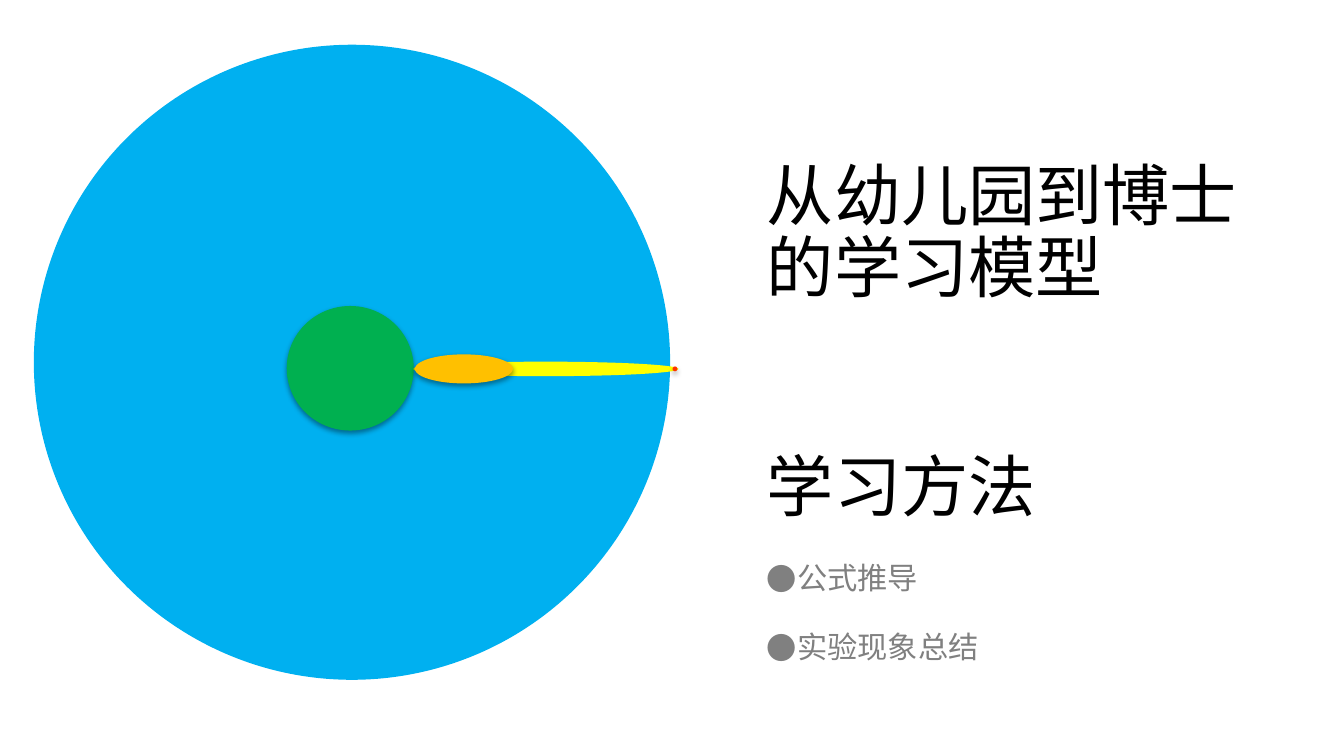
from lxml.etree import SubElement
from pptx import Presentation
from pptx.dml.color import RGBColor
from pptx.enum.shapes import MSO_SHAPE
from pptx.enum.text import MSO_ANCHOR, MSO_AUTO_SIZE, PP_ALIGN
from pptx.oxml.ns import qn
from pptx.util import Inches, Pt

FONT = "Noto Sans CJK SC"
BLACK = RGBColor(0x00, 0x00, 0x00)
GRAY = RGBColor(0x80, 0x80, 0x80)
BLUE = RGBColor(0x00, 0xB0, 0xF0)
YELLOW = RGBColor(0xFF, 0xFF, 0x00)
GREEN = RGBColor(0x00, 0xB0, 0x50)
ORANGE = RGBColor(0xFF, 0xC0, 0x00)
RED = RGBColor(0xFF, 0x33, 0x00)

# Offset from the model's corner, size, colour, shadow (opacity %, distance pt)
STAGES = [
    (0, 0, 5.26, 5.25, BLUE, None),
    (3.13, 2.62, 2.2, 0.12, YELLOW, None),
    (2.09, 2.16, 1.05, 1.03, GREEN, (38, 1.6)),
    (3.15, 2.56, 0.81, 0.24, ORANGE, (38, 1.6)),
    (5.28, 2.66, 0.04, 0.04, RED, (35, 1.8)),
]
METHODS = ["公式推导", "实验现象总结"]


def add_drop_shadow(shape, opacity, distance):
    effects = shape._element.spPr.find(qn("a:effectLst"))
    shadow = SubElement(effects, qn("a:outerShdw"), blurRad=str(Pt(3.1)),
                        dist=str(Pt(distance)), dir="5400000", rotWithShape="0")
    color = SubElement(shadow, qn("a:srgbClr"), val=str(BLACK))
    SubElement(color, qn("a:alpha"), val=str(opacity * 1000))


def add_learning_model(slide, left, top):
    model = slide.shapes.add_group_shape()
    for dx, dy, width, height, color, shadow in STAGES:
        stage = model.shapes.add_shape(
            MSO_SHAPE.OVAL, Inches(left + dx), Inches(top + dy),
            Inches(width), Inches(height))
        stage.fill.solid()
        stage.fill.fore_color.rgb = color
        stage.line.fill.background()
        stage.shadow.inherit = False
        if shadow:
            add_drop_shadow(stage, *shadow)


def format_frame(frame):
    frame.word_wrap = True
    frame.auto_size = MSO_AUTO_SIZE.NONE
    frame.vertical_anchor = MSO_ANCHOR.MIDDLE
    frame.margin_left = frame.margin_right = Inches(0.08)
    frame.margin_top = frame.margin_bottom = Inches(0.04)


def write_line(paragraph, text, size, color, line_spacing, before=0):
    paragraph.alignment = PP_ALIGN.LEFT
    paragraph.line_spacing = line_spacing
    paragraph.space_before = Pt(before)
    paragraph.space_after = Pt(5)
    run = paragraph.add_run()
    run.text = text
    run.font.size = Pt(size)
    run.font.color.rgb = color
    run.font.name = FONT
    SubElement(run.font._element, qn("a:ea"), typeface=FONT)


def write_heading(paragraph, text):
    write_line(paragraph, text, 40, BLACK, 0.9)


def write_bullet(paragraph, text):
    write_line(paragraph, text, 18, GRAY, 1.3, before=8.3)
    properties = paragraph._p.get_or_add_pPr()
    properties.set("marL", str(Inches(0.21)))
    properties.set("indent", str(Inches(-0.21)))
    bullet_color = SubElement(properties, qn("a:buClr"))
    SubElement(bullet_color, qn("a:srgbClr"), val=str(GRAY))
    SubElement(properties, qn("a:buFont"), typeface=FONT)
    SubElement(properties, qn("a:buChar"), char="●")


def place_title(slide, left, top, width, height):
    title = slide.shapes.title
    title.left, title.top = Inches(left), Inches(top)
    title.width, title.height = Inches(width), Inches(height)
    format_frame(title.text_frame)
    write_heading(title.text_frame.paragraphs[0], "从幼儿园到博士的学习模型")


def add_methods(slide, left, top, width, height):
    methods = slide.shapes.add_textbox(
        Inches(left), Inches(top), Inches(width), Inches(height))
    frame = methods.text_frame
    format_frame(frame)
    write_heading(frame.paragraphs[0], "学习方法")
    for method in METHODS:
        write_bullet(frame.add_paragraph(), method)


def main():
    deck = Presentation()
    deck.slide_width, deck.slide_height = Inches(11.11), Inches(6.25)
    slide = deck.slides.add_slide(deck.slide_layouts[5])
    add_learning_model(slide, 0.28, 0.37)
    place_title(slide, 6.26, -0.58, 4.21, 5.04)
    add_methods(slide, 6.26, 2.1, 4.21, 5.04)
    deck.save("out.pptx")


if __name__ == "__main__":
    main()
